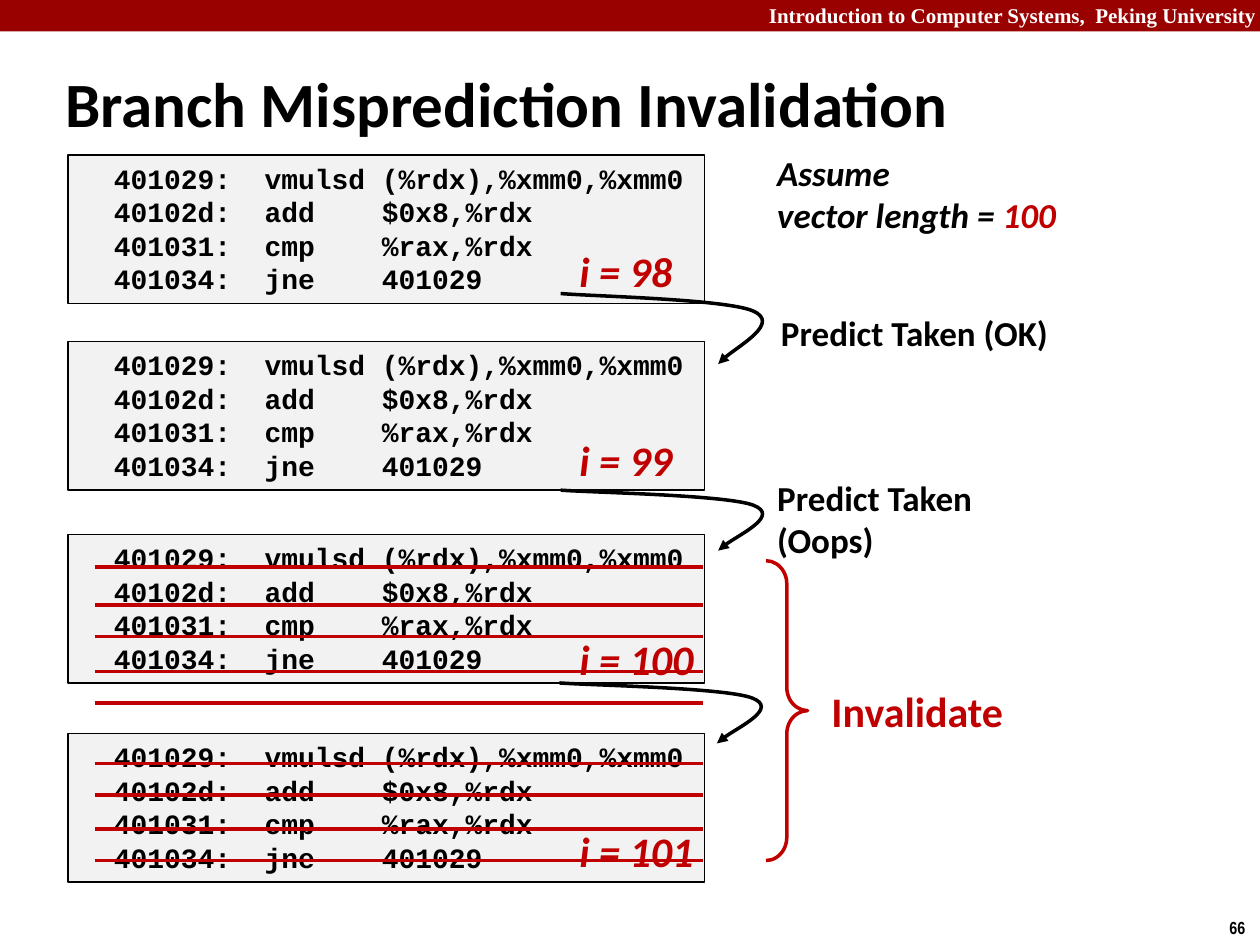
from lxml import etree
from pptx import Presentation
from pptx import util as u
from pptx.dml.color import RGBColor
from pptx.enum import shapes, text
from pptx.oxml.ns import qn

BLACK = RGBColor(0x00, 0x00, 0x00)
WHITE = RGBColor(0xFF, 0xFF, 0xFF)
BANNER = RGBColor(0x99, 0x00, 0x00)
RED = RGBColor(0xC0, 0x00, 0x00)
CODE_FILL = RGBColor(0xF2, 0xF2, 0xF2)

CODE = [
    "  401029:  vmulsd (%rdx),%xmm0,%xmm0",
    "  40102d:  add    $0x8,%rdx",
    "  401031:  cmp    %rax,%rdx",
    "  401034:  jne    401029",
]


def write_text(frame, lines, font="Calibri", size=20, color=BLACK, italic=False,
               align=text.PP_ALIGN.LEFT, anchor=text.MSO_ANCHOR.TOP, wrap=False):
    """Write one paragraph per line; a line is a string or a list of (string, color)."""
    frame.word_wrap = wrap
    frame.vertical_anchor = anchor
    for index, line in enumerate(lines):
        paragraph = frame.paragraphs[0] if index == 0 else frame.add_paragraph()
        paragraph.alignment = align
        for content, run_color in [(line, color)] if isinstance(line, str) else line:
            run = paragraph.add_run()
            run.text = content
            run.font.name = font
            run.font.size = u.Pt(size)
            run.font.bold = True
            run.font.italic = italic
            run.font.color.rgb = run_color


class SlideBuilder:
    """Holds the current slide and the line style, and adds each kind of element."""

    stroke = u.Pt(2)

    def __init__(self, slide):
        self.slide = slide

    def box(self, kind, left, top, width, height, fill=None, line=None, weight=stroke):
        shape = self.slide.shapes.add_shape(
            kind, u.Inches(left), u.Inches(top), u.Inches(width), u.Inches(height))
        shape.shadow.inherit = False
        if fill is None:
            shape.fill.background()
        else:
            shape.fill.solid()
            shape.fill.fore_color.rgb = fill
        if line is None:
            shape.line.fill.background()
        else:
            shape.line.color.rgb = line
            shape.line.width = weight
        return shape

    def label(self, left, top, width, height, *lines, **style):
        shape = self.slide.shapes.add_textbox(
            u.Inches(left), u.Inches(top), u.Inches(width), u.Inches(height))
        write_text(shape.text_frame, lines, **style)

    def code(self, top):
        shape = self.box(shapes.MSO_SHAPE.RECTANGLE, 0.54, top, 5.05, 1.18,
                         CODE_FILL, BLACK, u.Pt(0.75))
        write_text(shape.text_frame, CODE, font="Courier New", size=16)

    def strike(self, y):
        line = self.slide.shapes.add_connector(
            shapes.MSO_CONNECTOR.STRAIGHT,
            u.Inches(0.75), u.Inches(y), u.Inches(5.58), u.Inches(y))
        line.line.color.rgb = RED
        line.line.width = self.stroke
        etree.SubElement(line._element.spPr, qn("a:effectLst"))

    def jump(self, left, top, height):
        """Curved arrow from the end of one iteration to the start of the next."""
        controls = [(0.26, 0.04), (1.32, 0.08), (1.53, 0.25),
                    (1.74, 0.42), (1.31, 0.85), (1.25, 1)]
        builder = self.slide.shapes.build_freeform(
            u.Inches(left), u.Inches(top), scale=1.0)
        builder.add_line_segments(
            [(u.Inches(left + x), u.Inches(top + y * height)) for x, y in controls],
            close=False)
        shape = builder.convert_to_shape()
        shape.shadow.inherit = False
        shape.fill.background()
        shape.line.color.rgb = BLACK
        shape.line.width = self.stroke
        # Each three points become one cubic curve
        segments = list(shape._element.iter(qn("a:lnTo")))
        for start in range(0, len(segments), 3):
            curve = etree.Element(qn("a:cubicBezTo"))
            segments[start].addprevious(curve)
            for segment in segments[start:start + 3]:
                curve.append(segment[0])
                segment.getparent().remove(segment)
        etree.SubElement(shape.line._get_or_add_ln(), qn("a:tailEnd"), type="triangle")


def main():
    presentation = Presentation()
    presentation.slide_width = u.Inches(10)
    presentation.slide_height = u.Inches(7.5)
    builder = SlideBuilder(presentation.slides.add_slide(presentation.slide_layouts[6]))

    # Banner, page number and title
    builder.box(shapes.MSO_SHAPE.RECTANGLE, 0, 0, 10, 0.25, BANNER)
    builder.label(6, -0.03, 4.07, 0.3, "Introduction to Computer Systems,  Peking University",
                  font="Times New Roman", size=12, color=WHITE,
                  align=text.PP_ALIGN.RIGHT, wrap=True)
    builder.label(9.66, 7.23, 0.34, 0.27, "66", font="Arial Narrow", size=10)
    builder.label(0.42, 0.5, 8.69, 0.63, "Branch Misprediction Invalidation",
                  size=36, anchor=text.MSO_ANCHOR.MIDDLE, wrap=True)

    # Loop iterations
    for top in (1.23, 2.71, 4.24, 5.82):
        builder.code(top)
    for left, top, height in ((4.45, 2.33, 0.56), (4.45, 3.89, 0.48), (4.44, 5.42, 0.48)):
        builder.jump(left, top, height)
    for i, top, width in ((98, 1.9, 0.94), (99, 3.4, 0.94), (100, 4.98, 1.11), (101, 6.5, 1.11)):
        builder.label(4.5, top, width, 0.5, f"i = {i}", size=24, color=RED, italic=True)

    # Remarks
    builder.label(6.07, 1.15, 2.43, 0.77, "Assume",
                  [("vector length = ", BLACK), ("100", RED)], italic=True)
    builder.label(6.1, 2.42, 2.34, 0.44, "Predict Taken (OK)")
    builder.label(6.07, 3.73, 1.76, 0.77, "Predict Taken", "(Oops)")

    # Invalidated instructions
    for y in (4.5, 4.8, 5.05, 5.33, 5.58, 6.06, 6.31, 6.58, 6.83):
        builder.strike(y)
    brace = builder.box(shapes.MSO_SHAPE.RIGHT_BRACE, 6.08, 4.45, 0.33, 2.38, line=RED)
    brace.adjustments[0] = 0.56
    builder.label(6.5, 5.39, 1.58, 0.5, "Invalidate", size=24, color=RED)

    presentation.save("out.pptx")


if __name__ == "__main__":
    main()
